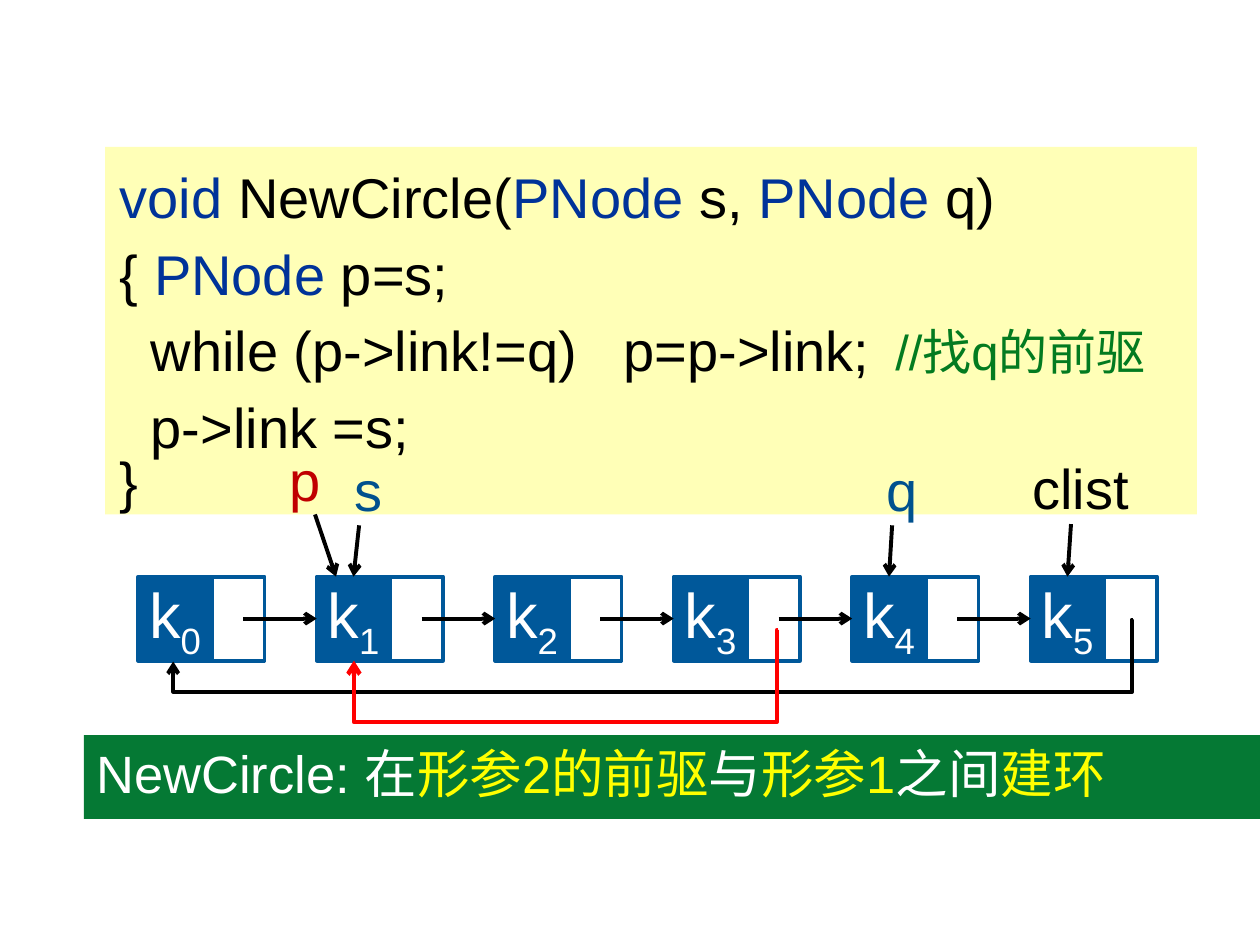
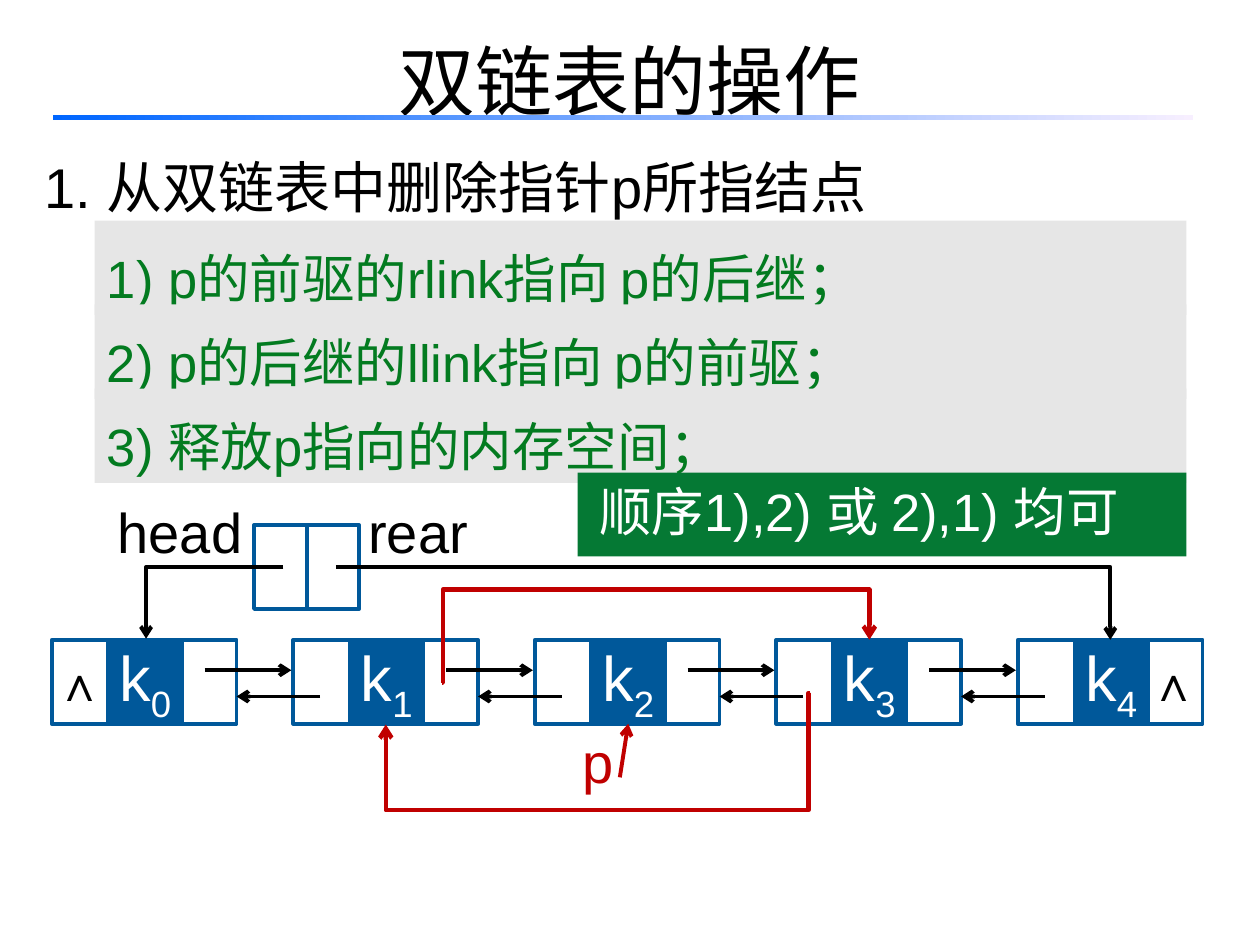
from dataclasses import dataclass
from typing import Optional

import pptx
import pptx.dml.color
import pptx.enum.dml
import pptx.enum.shapes
import pptx.enum.text
import pptx.oxml
import pptx.oxml.ns
import pptx.util

Pt = pptx.util.Pt
ALIGN = pptx.enum.text.PP_ALIGN
ANCHOR = pptx.enum.text.MSO_ANCHOR
CONNECTOR = pptx.enum.shapes.MSO_CONNECTOR
RECTANGLE = pptx.enum.shapes.MSO_SHAPE.RECTANGLE

BLACK, WHITE, YELLOW = "000000", "FFFFFF", "FFFF00"
NODE_BLUE, POINTER_BLUE, KEYWORD_BLUE = "00589A", "00518E", "003399"
RED, DARK_RED = "FF0000", "C00000"
BAND_GREEN, COMMENT_GREEN = "057934", "037B20"
CODE_YELLOW, STEP_GRAY = "FFFFB7", "E6E6E6"
BODY_FONT, TITLE_FONT = "Arial", "Noto Sans CJK SC"
KEY_WIDTH, LINK_WIDTH, NODE_HEIGHT = 42, 37.2, 48
TOP, LEFT, BOTTOM = 0, 1, 2


@dataclass
class Run:
    text: str
    color: str = BLACK
    baseline: int = 0


@dataclass
class Line:
    runs: list[Run]
    size: float = 32
    align: ALIGN = ALIGN.LEFT
    spacing: Optional[float] = None
    margin: float = 0
    indent: float = 0
    font: str = BODY_FONT
    bold: bool = False


@dataclass
class Box:
    left: float
    top: float
    width: float
    height: float
    fill: Optional[str] = None
    outline: Optional[str] = None


@dataclass
class Arrow:
    start: tuple[float, float]
    end: tuple[float, float]
    color: str = BLACK
    width: float = 2.25


def rgb(color: str):
    return pptx.dml.color.RGBColor.from_string(color)


def write(frame, lines: list[Line], anchor=ANCHOR.TOP, wrap: bool = True) -> None:
    frame.word_wrap = wrap
    frame.auto_size = pptx.enum.text.MSO_AUTO_SIZE.NONE
    frame.vertical_anchor = anchor
    for number, line in enumerate(lines):
        paragraph = frame.add_paragraph() if number else frame.paragraphs[0]
        properties = paragraph._p.get_or_add_pPr()
        properties.set("marL", str(Pt(line.margin)))
        properties.set("indent", str(Pt(line.indent)))
        paragraph.alignment = line.align
        paragraph.space_before = Pt(0)
        if line.spacing:
            paragraph.line_spacing = line.spacing
        for item in line.runs:
            run = paragraph.add_run()
            run.text = item.text
            run.font.name = line.font
            run.font.size = Pt(line.size)
            run.font.bold = line.bold
            run.font.color.rgb = rgb(item.color)
            if item.baseline:
                run._r.get_or_add_rPr().set("baseline", str(item.baseline))


def add_box(slide, box: Box):
    shape = slide.shapes.add_shape(
        RECTANGLE, Pt(box.left), Pt(box.top), Pt(box.width), Pt(box.height))
    shape.shadow.inherit = False
    if box.fill:
        shape.fill.solid()
        shape.fill.fore_color.rgb = rgb(box.fill)
    else:
        shape.fill.background()
    if box.outline:
        shape.line.color.rgb = rgb(box.outline)
        shape.line.width = Pt(2.25)
    else:
        shape.line.fill.background()
    return shape


def add_cell(slide, left: float, top: float, width: float = LINK_WIDTH):
    return add_box(slide, Box(left, top, width, NODE_HEIGHT, outline=NODE_BLUE))


def add_key(slide, index: int, left: float, top: float):
    key = add_box(slide, Box(left, top, KEY_WIDTH, NODE_HEIGHT, NODE_BLUE, NODE_BLUE))
    runs = [Run("k", WHITE), Run(str(index), WHITE, -25000)]
    write(key.text_frame, [Line(runs, 36, ALIGN.CENTER)], ANCHOR.MIDDLE, False)
    return key


def add_label(slide, text: str, left: float, top: float, width: float = 61.2,
              color: str = BLACK) -> None:
    label = slide.shapes.add_textbox(Pt(left), Pt(top), Pt(width), Pt(NODE_HEIGHT))
    line = Line([Run(text, color)], align=ALIGN.CENTER, spacing=0.9)
    write(label.text_frame, [line], ANCHOR.MIDDLE, False)


def add_arrow(slide, arrow: Arrow, kind=CONNECTOR.STRAIGHT):
    connector = slide.shapes.add_connector(
        kind, *(Pt(value) for value in arrow.start + arrow.end))
    connector.line.color.rgb = rgb(arrow.color)
    connector.line.width = Pt(arrow.width)
    line = connector.line._get_or_add_ln()
    line.append(pptx.oxml.parse_xml(
        f'<a:tailEnd {pptx.oxml.ns.nsdecls("a")} type="arrow"/>'))
    connector._element.spPr.append(pptx.oxml.parse_xml(
        f'<a:effectLst {pptx.oxml.ns.nsdecls("a")}/>'))
    return connector


def add_corner(slide, arrow: Arrow, turn: Optional[float] = None) -> None:
    connector = add_arrow(slide, arrow, CONNECTOR.ELBOW)
    geometry = connector._element.spPr.find(pptx.oxml.ns.qn("a:prstGeom"))
    geometry.set("prst", "bentConnector2" if turn is None else "bentConnector4")
    if turn is None:
        return
    share = (turn - arrow.start[1]) / (arrow.end[1] - arrow.start[1])
    for old in list(geometry):
        geometry.remove(old)
    geometry.append(pptx.oxml.parse_xml(
        f'<a:avLst {pptx.oxml.ns.nsdecls("a")}>'
        '<a:gd name="adj1" fmla="val 100"/>'
        f'<a:gd name="adj2" fmla="val {round(share * 100000)}"/></a:avLst>'))


def add_band(slide, box: Box, runs: list[Run], indent: float = -27.4,
             spacing: Optional[float] = None) -> None:
    band = add_box(slide, box)
    line = Line(runs, 30, spacing=spacing, margin=27.4, indent=indent)
    write(band.text_frame, [line])


def build_circle_slide(presentation) -> None:
    slide = presentation.slides.add_slide(presentation.slide_layouts[6])
    code = add_box(slide, Box(60, 84, 624, 210, CODE_YELLOW))
    code.text_frame.margin_left = code.text_frame.margin_right = Pt(0)
    statements = [
        [Run("void ", KEYWORD_BLUE), Run("NewCircle("), Run("PNode ", KEYWORD_BLUE),
         Run("s, "), Run("PNode ", KEYWORD_BLUE), Run("q)")],
        [Run("{ "), Run("PNode", KEYWORD_BLUE), Run(" p=s;")],
        [Run("  while (p->link!=q)   p=p->link;")],
        [Run("  p->link =s;")],
    ]
    lines = [Line(runs, align=ALIGN.JUSTIFY, spacing=1.14, margin=8.4) for runs in statements]
    lines.append(Line([Run("}")], align=ALIGN.JUSTIFY, spacing=0.8, margin=8.4))
    write(code.text_frame, lines)

    node_top, pitch = 329.5, 102
    lefts = [79 + pitch * index for index in range(6)]
    keys = []
    for index, left in enumerate(lefts):
        add_cell(slide, left + 35, node_top)
        keys.append(add_key(slide, index, left, node_top))
    middle = node_top + NODE_HEIGHT / 2
    for left, following in zip(lefts, keys[1:]):
        link = add_arrow(slide, Arrow((left + 60, middle), (left + pitch, middle)))
        link.end_connect(following, LEFT)

    for text, left, top, color, start, target in (
            ("clist", 586.8, 257, BLACK, (612, 299.5), 5),
            ("s", 180, 257.8, POINTER_BLUE, (205.2, 300.2), 1),
            ("q", 484.6, 257.8, POINTER_BLUE, (509.8, 300.2), 4)):
        add_label(slide, text, left, top, color=color)
        pointer = add_arrow(slide, Arrow(start, (start[0], node_top)))
        pointer.end_connect(keys[target], TOP)
    add_label(slide, "p", 144, 252, color=DARK_RED)
    add_arrow(slide, Arrow((180, 294), (192, node_top)))

    add_corner(slide, Arrow((647.5, 354), (99, 378)), 395.3)
    add_corner(slide, Arrow((444.2, 360), (202.3, 377.5), RED, 2.5), 412.6)
    add_band(slide, Box(48, 420, 678, 48, BAND_GREEN), [
        Run("NewCircle: 在", WHITE), Run("形参2的前驱", YELLOW), Run("与", WHITE),
        Run("形参1", YELLOW), Run("之间", WHITE), Run("建环", YELLOW)])
    comment = slide.shapes.add_textbox(Pt(504.5), Pt(172), Pt(159), Pt(45.4))
    write(comment.text_frame, [Line([Run("//找q的前驱", COMMENT_GREEN)], 28, spacing=1.25)])


def build_deletion_slide(presentation) -> None:
    slide = presentation.slides.add_slide(presentation.slide_layouts[1])
    title, body = slide.shapes.title, slide.placeholders[1]
    title.left, title.top, title.width, title.height = Pt(36), Pt(-6), Pt(648), Pt(90)
    write(title.text_frame, [Line([Run("双链表的操作")], 44, ALIGN.CENTER, 1.25,
                                  font=TITLE_FONT)], ANCHOR.MIDDLE)
    body.left, body.top, body.width, body.height = Pt(18), Pt(72), Pt(702), Pt(54)
    properties = body.text_frame.paragraphs[0]._p.get_or_add_pPr()
    properties.append(pptx.oxml.parse_xml(f'<a:buNone {pptx.oxml.ns.nsdecls("a")}/>'))
    write(body.text_frame, [Line([Run("1. 从双链表中删除指针p所指结点")],
                                 spacing=1.3, margin=27.4, indent=-27.4)])

    rule = add_box(slide, Box(30.2, 65.5, 651.6, 3))
    rule.fill.gradient()
    rule.fill.gradient_angle = 0
    for stop, position, color in zip(rule.fill.gradient_stops, (0, 1), ("0066FF", "F7EFFF")):
        stop.position = position
        stop.color.rgb = rgb(color)

    node_top, pitch = 365.6, 138
    lefts = [62 + pitch * index for index in range(5)]
    keys, first_cells, last_cells = [], [], []
    for index, left in enumerate(lefts):
        last_cells.append(add_cell(slide, left + 36, node_top))
        keys.append(add_key(slide, index, left, node_top))
        first_cells.append(add_cell(slide, left - 32.4, node_top))
    for cell, align in ((first_cells[0], ALIGN.RIGHT), (last_cells[-1], ALIGN.LEFT)):
        write(cell.text_frame, [Line([Run("∧")], 28, align, bold=True)], ANCHOR.MIDDLE, False)
    for left in lefts[:-1]:
        add_arrow(slide, Arrow((left + 55, 383), (left + 104.5, 383)))
        add_arrow(slide, Arrow((left + 121, 398), (left + 73.2, 398)))

    for left in (145.2, 175.2):
        add_cell(slide, left, 300, 30)
    add_corner(slide, Arrow((162, 324), (83.5, 365)))
    add_corner(slide, Arrow((192, 324), (634.5, 365.6)))
    add_label(slide, "head", 66.2, 282, 73.4)
    add_label(slide, "rear", 199.4, 282, 79.2)
    add_label(slide, "p", 311, 413.3, color=DARK_RED)
    pointer = add_arrow(slide, Arrow((354.2, 444.2), (358.6, 413.6), DARK_RED))
    pointer.end_connect(keys[2], BOTTOM)
    add_corner(slide, Arrow((252.8, 390.2), (496.8, 365.6), DARK_RED, 2.5), 337)
    add_corner(slide, Arrow((462.3, 396), (220.5, 414), DARK_RED, 2.5), 463)

    steps = ("1) p的前驱的rlink指向 p的后继；",
             "2) p的后继的llink指向 p的前驱；",
             "3) 释放p指向的内存空间；")
    for index, step in enumerate(steps):
        add_band(slide, Box(54, 126 + 48 * index, 624, 54, STEP_GRAY),
                 [Run(step, COMMENT_GREEN)], spacing=1.3)
    add_band(slide, Box(330, 270, 348, 48, BAND_GREEN),
             [Run("顺序1),2) 或 2),1) 均可", WHITE)], indent=-22)


def main() -> None:
    presentation = pptx.Presentation()
    presentation.slide_width, presentation.slide_height = Pt(720), Pt(540)
    build_circle_slide(presentation)
    build_deletion_slide(presentation)
    presentation.save("out.pptx")


if __name__ == "__main__":
    main()
